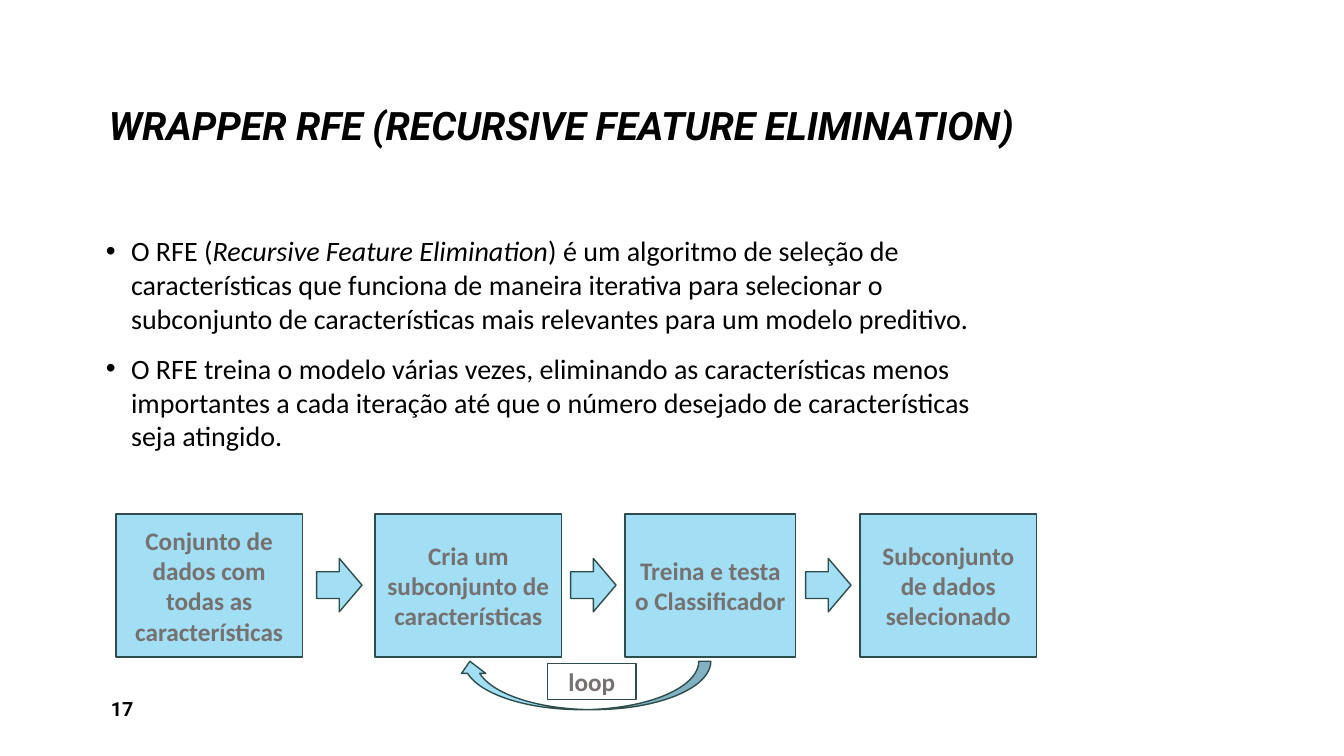
from dataclasses import dataclass

from lxml import etree
from pptx import Presentation
from pptx.dml.color import RGBColor
from pptx.enum.shapes import MSO_SHAPE
from pptx.enum.text import MSO_ANCHOR, MSO_AUTO_SIZE, PP_ALIGN
from pptx.oxml.ns import qn
from pptx.util import Inches, Pt

COLORS = {
    "text": "000000",
    "label": "767171",
    "step": "A2DEF4",
    "outline": "2D4E4D",
    "paper": "FFFFFF",
}
HEADING_FONT, BODY_FONT = "Roboto", "Calibri"
STEP_TOP, ARROW_TOP = 5.1, 5.54


@dataclass(frozen=True)
class Box:
    left: float
    top: float
    width: float
    height: float

    def lengths(self):
        return [Inches(v) for v in (self.left, self.top, self.width, self.height)]


@dataclass(frozen=True)
class Node:
    box: Box
    label: str = ""
    preset: MSO_SHAPE = MSO_SHAPE.RECTANGLE
    fill: str = "step"
    rotation: float = 0


def step(left: float, width: float, label: str) -> Node:
    return Node(Box(left, STEP_TOP, width, 1.42), label)


def arrow(left: float) -> Node:
    return Node(Box(left, ARROW_TOP, 0.45, 0.53), preset=MSO_SHAPE.RIGHT_ARROW)


FLOW = [
    step(1.15, 1.85, "Conjunto de dados com todas as características"),
    arrow(3.14),
    step(3.72, 1.85, "Cria um subconjunto de características"),
    arrow(5.66),
    step(6.2, 1.69, "Treina e testa o Classificador"),
    step(8.53, 1.75, "Subconjunto de dados selecionado"),
    arrow(7.99),
    Node(Box(4.54, 6.56, 2.51, 0.48), preset=MSO_SHAPE.CURVED_DOWN_ARROW, rotation=180),
    Node(Box(5.43, 6.58, 0.88, 0.36), "loop", fill="paper"),
]

# Each bullet is a list of (text, italic) runs.
BULLETS = [
    [
        ("O RFE (", False),
        ("Recursive Feature Elimination", True),
        (") é um algoritmo de seleção de características que funciona de maneira "
         "iterativa para selecionar o subconjunto de características mais relevantes "
         "para um modelo preditivo.", False),
    ],
    [
        ("O RFE treina o modelo várias vezes, eliminando as características menos "
         "importantes a cada iteração até que o número desejado de características "
         "seja atingido.", False),
    ],
]


def rgb(name: str) -> RGBColor:
    return RGBColor.from_string(COLORS[name])


def add_run(paragraph, text: str, size: float, font: str, color: str = "text",
            bold: bool = False, italic: bool = False) -> None:
    run = paragraph.add_run()
    run.text = text
    run.font.size = Pt(size)
    run.font.name = font
    run.font.bold = bold
    run.font.italic = italic
    run.font.color.rgb = rgb(color)


def place(shape, box: Box, anchor: MSO_ANCHOR):
    """Move a text shape, fix its size and return its text frame."""
    shape.left, shape.top, shape.width, shape.height = box.lengths()
    frame = shape.text_frame
    frame.word_wrap = True
    frame.auto_size = MSO_AUTO_SIZE.NONE
    frame.vertical_anchor = anchor
    return frame


def set_bullet(paragraph) -> None:
    properties = paragraph._p.get_or_add_pPr()
    properties.set("marL", str(Inches(0.25)))
    properties.set("indent", str(Inches(-0.25)))
    etree.SubElement(properties, qn("a:buFont")).set("typeface", "Arial")
    etree.SubElement(properties, qn("a:buChar")).set("char", "•")


def fill_title(title) -> None:
    frame = place(title, Box(0.98, 0.08, 10.67, 1.45), MSO_ANCHOR.BOTTOM)
    heading = frame.paragraphs[0]
    heading.alignment = PP_ALIGN.LEFT
    heading.line_spacing = 0.9
    add_run(heading, "WRAPPER RFE (RECURSIVE FEATURE ELIMINATION)", 28, HEADING_FONT,
            bold=True, italic=True)


def fill_body(body) -> None:
    frame = place(body, Box(0.95, 2.27, 9.1, 4.35), MSO_ANCHOR.TOP)
    for index, runs in enumerate(BULLETS):
        bullet = frame.add_paragraph() if index else frame.paragraphs[0]
        set_bullet(bullet)
        bullet.line_spacing = Pt(24)
        bullet.space_before = Pt(0)
        bullet.space_after = Pt(12)
        for text, italic in runs:
            add_run(bullet, text, 20, BODY_FONT, italic=italic)


def add_page_number(slide) -> None:
    box = Box(1, 6.83, 2.92, 0.4)
    frame = place(slide.shapes.add_textbox(*box.lengths()), box, MSO_ANCHOR.MIDDLE)
    add_run(frame.paragraphs[0], "17", 14, HEADING_FONT, bold=True)


def add_node(slide, node: Node) -> None:
    shape = slide.shapes.add_shape(node.preset, *node.box.lengths())
    shape.shadow.inherit = False
    shape.rotation = node.rotation
    shape.fill.solid()
    shape.fill.fore_color.rgb = rgb(node.fill)
    shape.line.color.rgb = rgb("outline")
    shape.line.width = Pt(1)
    if node.label:
        frame = place(shape, node.box, MSO_ANCHOR.MIDDLE)
        frame.margin_left = frame.margin_right = Inches(0.08)
        caption = frame.paragraphs[0]
        caption.alignment = PP_ALIGN.CENTER
        add_run(caption, node.label, 18, BODY_FONT, "label", bold=True)


def main() -> None:
    deck = Presentation()
    deck.slide_width, deck.slide_height = Inches(13.33), Inches(7.5)
    slide = deck.slides.add_slide(deck.slide_layouts[1])
    slide.background.fill.solid()
    slide.background.fill.fore_color.rgb = rgb("paper")
    fill_title(slide.shapes.title)
    fill_body(slide.placeholders[1])
    add_page_number(slide)
    for node in FLOW:
        add_node(slide, node)
    deck.save("out.pptx")


if __name__ == "__main__":
    main()
